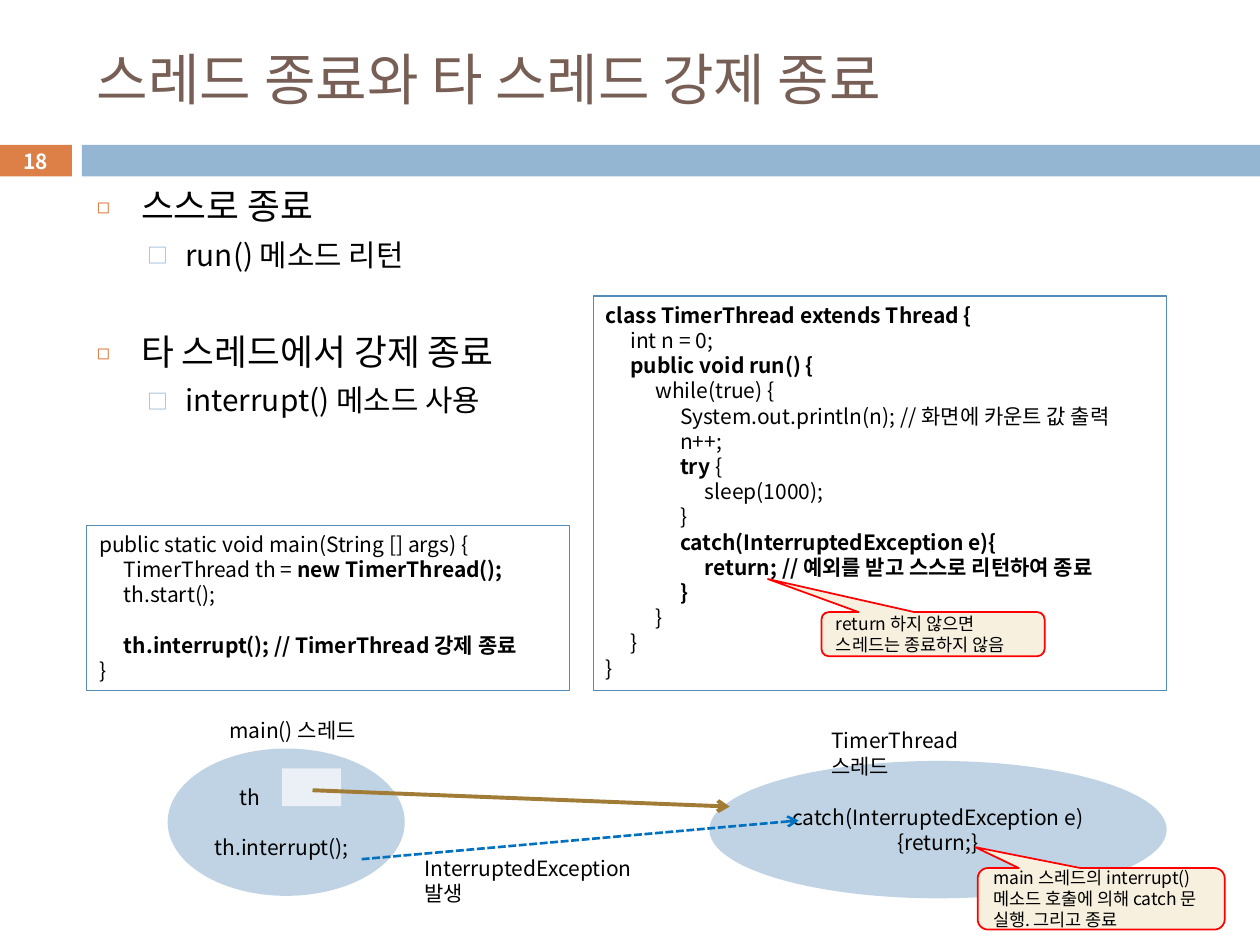
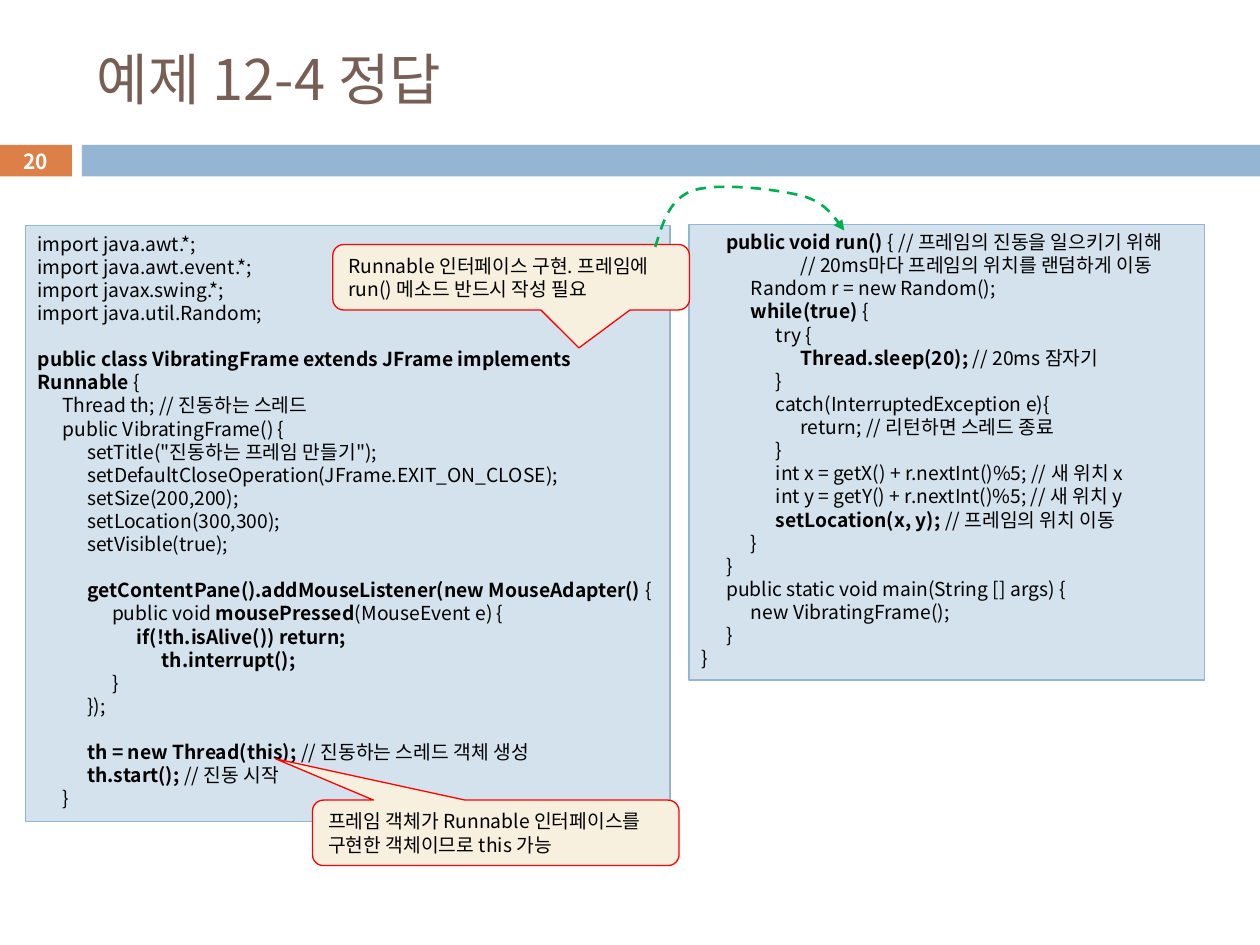
from collections import namedtuple

from lxml.etree import SubElement
from pptx import Presentation
from pptx.dml.color import RGBColor
from pptx.enum.dml import MSO_LINE
from pptx.enum.shapes import MSO_CONNECTOR, MSO_SHAPE
from pptx.enum.text import MSO_ANCHOR, MSO_AUTO_SIZE, PP_ALIGN
from pptx.oxml.ns import qn
from pptx.util import Cm, Pt

FONT = "Noto Sans CJK KR"
BLACK = RGBColor(0x00, 0x00, 0x00)
WHITE = RGBColor(0xFF, 0xFF, 0xFF)
BROWN = RGBColor(0x77, 0x5F, 0x55)
ORANGE = RGBColor(0xDD, 0x80, 0x47)
BLUE = RGBColor(0x94, 0xB6, 0xD2)
EDGE_BLUE = RGBColor(0x55, 0x8B, 0xB8)
THREAD_BLUE = RGBColor(0xBF, 0xD3, 0xE4)
CODE_BLUE = RGBColor(0xD4, 0xE2, 0xED)
PALE_BLUE = RGBColor(0xEA, 0xF0, 0xF6)
SIGNAL_BLUE = RGBColor(0x00, 0x70, 0xC0)
GOLD = RGBColor(0xA1, 0x7C, 0x36)
CREAM = RGBColor(0xF7, 0xF0, 0xDE)
RED = RGBColor(0xFF, 0x00, 0x00)
GREEN = RGBColor(0x00, 0xB0, 0x50)

LINE_FACTOR = 1.2
INDENT = 0.5


class Box(namedtuple("Box", "left top width height")):
    def inner(self, left, top, width, height):
        return Box(self.left + left, self.top + top, width, height)

    def point(self, left, top):
        return Cm(self.left + left), Cm(self.top + top)

    def lengths(self):
        return [Cm(value) for value in self]


TITLE_BOX = Box(1.7, 0.64, 22.66, 1.88)
NUMBER_BOX = Box(0, 2.92, 1.45, 0.64)
BAND_BOX = Box(1.65, 2.92, 23.75, 0.64)
LIST_BOX = Box(1.7, 3.58, 22.66, 4.34)
TIMER_BOX = Box(11.96, 5.97, 11.56, 7.95)
MAIN_BOX = Box(1.75, 10.59, 9.73, 3.33)
DIAGRAM_BOX = Box(3.38, 14.35, 21.3, 4.4)
FRAME_BOX = Box(0.51, 4.55, 13, 12.01)
RUN_BOX = Box(13.89, 4.52, 10.39, 9.19)

TIMER_CODE = """**class TimerThread extends Thread {**
    int n = 0;
    **public void run() {**
        while(true) {
            System.out.println(n); // 화면에 카운트 값 출력
            n++;
            **try **{
                sleep(1000);
            }
            **catch(InterruptedException e){**
                **return; // 예외를 받고 스스로 리턴하여 종료**
            **}**
        }
    }
}"""

MAIN_CODE = """public static void main(String [] args) {
    TimerThread th = **new TimerThread();**
    th.start();

    **th.interrupt(); // TimerThread 강제 종료**
}"""

FRAME_CODE = """import java.awt.*;
import java.awt.event.*;
import javax.swing.*;
import java.util.Random;

**public class VibratingFrame extends JFrame implements Runnable** {
    Thread th; // 진동하는 스레드
    public VibratingFrame() {
        setTitle("진동하는 프레임 만들기");
        setDefaultCloseOperation(JFrame.EXIT_ON_CLOSE);
        setSize(200,200);
        setLocation(300,300);
        setVisible(true);

        **getContentPane().addMouseListener(new MouseAdapter() **{
            public void **mousePressed**(MouseEvent e) {
                **if(!th.isAlive()) return;**
                    **th.interrupt();**
            }
        });

        **th = new Thread(this); **// 진동하는 스레드 객체 생성
        **th.start(); **// 진동 시작
    }"""

RUN_CODE = """    **public void run() **{ // 프레임의 진동을 일으키기 위해
                // 20ms마다 프레임의 위치를 랜덤하게 이동
        Random r = new Random();
        **while(true) **{
            try {
                **Thread.sleep(20); **// 20ms 잠자기
            }
            catch(InterruptedException e){
                return; // 리턴하면 스레드 종료
            }
            int x = getX() + r.nextInt()%5; // 새 위치 x
            int y = getY() + r.nextInt()%5; // 새 위치 y
            **setLocation(x, y); **// 프레임의 위치 이동
        }
    }
    public static void main(String [] args) {
        new VibratingFrame();
    }
}"""

TOPICS = [
    (0, "스스로 종료"),
    (1, "run() 메소드 리턴"),
    (0, "타 스레드에서 강제 종료"),
    (1, "interrupt() 메소드 사용"),
]

Level = namedtuple("Level", "size margin hanging space symbol color percent")
LEVELS = [
    Level(20.4, 0.89, 0.89, 7, "◻", ORANGE, 60),
    Level(17, 1.78, 0.76, 5.5, "□", BLUE, 70),
]
TOPIC_GAP = 33


def add_run(paragraph, text, size, color=BLACK, bold=False):
    run = paragraph.add_run()
    run.text = text
    run.font.name = FONT
    run.font.size = Pt(size)
    run.font.bold = bold
    run.font.color.rgb = color
    SubElement(run._r.get_or_add_rPr(), qn("a:ea"), typeface=FONT)
    paragraph.line_spacing = Pt(size * LINE_FACTOR)


def write_lines(text_frame, text, size, color=BLACK, align=PP_ALIGN.LEFT):
    text_frame.word_wrap = True
    paragraph = text_frame.paragraphs[0]
    gap = 0
    for index, line in enumerate(text.split("\n")):
        if not line:
            gap = size * LINE_FACTOR
            continue
        if index:
            paragraph = text_frame.add_paragraph()
        paragraph.alignment = align
        paragraph.space_before = Pt(gap)
        gap = 0
        words = line.lstrip()
        depth = (len(line) - len(words)) // 4
        if depth:
            paragraph._p.get_or_add_pPr().set("marL", str(Cm(depth * INDENT)))
        for position, part in enumerate(words.split("**")):
            if part:
                add_run(paragraph, part, size, color, position % 2 == 1)


def add_panel(slide, kind, box, fill=None, line=None, line_width=0.75, anchor=MSO_ANCHOR.MIDDLE):
    shape = slide.shapes.add_shape(kind, *box.lengths())
    shape.shadow.inherit = False
    if fill is None:
        shape.fill.background()
    else:
        shape.fill.solid()
        shape.fill.fore_color.rgb = fill
    if line is None:
        shape.line.fill.background()
    else:
        shape.line.color.rgb = line
        shape.line.width = Pt(line_width)
    shape.text_frame.vertical_anchor = anchor
    return shape


def add_code(slide, box, code, size, fill, line):
    panel = add_panel(slide, MSO_SHAPE.RECTANGLE, box, fill, line, anchor=MSO_ANCHOR.TOP)
    write_lines(panel.text_frame, code, size)


def add_callout(slide, box, text, size, pointer, line_width):
    callout = add_panel(slide, MSO_SHAPE.ROUNDED_RECTANGULAR_CALLOUT, box, CREAM, RED, line_width)
    callout.adjustments[0], callout.adjustments[1] = pointer
    write_lines(callout.text_frame, text, size)


def add_label(slide, box, text):
    label = slide.shapes.add_textbox(*box.lengths())
    write_lines(label.text_frame, text, 12)


def style_arrow(shape, color, width, head, dash=None):
    shape.line.color.rgb = color
    shape.line.width = Pt(width)
    if dash is not None:
        shape.line.dash_style = dash
    SubElement(shape.line._get_or_add_ln(), qn("a:tailEnd"), type=head)


def add_arrow(slide, start, end, color, width, dash=None):
    arrow = slide.shapes.add_connector(MSO_CONNECTOR.STRAIGHT, *start, *end)
    style_arrow(arrow, color, width, "arrow", dash)
    SubElement(arrow._element.spPr, qn("a:effectLst"))


def bezier_points(start, first, second, end, steps=12):
    for step in range(1, steps + 1):
        t = step / steps
        weights = ((1 - t) ** 3, 3 * t * (1 - t) ** 2, 3 * t * t * (1 - t), t ** 3)
        corners = (start, first, second, end)
        yield tuple(
            sum(weight * corner[axis] for weight, corner in zip(weights, corners))
            for axis in (0, 1)
        )


def add_curved_arrow(slide, box, controls):
    points = []
    for index in range(0, len(controls) - 1, 3):
        points += [box.point(*point) for point in bezier_points(*controls[index:index + 4])]
    builder = slide.shapes.build_freeform(*box.point(*controls[0]))
    builder.add_line_segments(points, close=False)
    curve = builder.convert_to_shape()
    curve.shadow.inherit = False
    curve.fill.background()
    style_arrow(curve, GREEN, 1.5, "triangle", MSO_LINE.DASH)


def place(placeholder, box, anchor):
    placeholder.left, placeholder.top, placeholder.width, placeholder.height = box.lengths()
    placeholder.text_frame.auto_size = MSO_AUTO_SIZE.NONE
    placeholder.text_frame.vertical_anchor = anchor


def add_framed_slide(presentation, layout_index, title, number):
    slide = presentation.slides.add_slide(presentation.slide_layouts[layout_index])
    place(slide.shapes.title, TITLE_BOX, MSO_ANCHOR.MIDDLE)
    write_lines(slide.shapes.title.text_frame, title, 32, BROWN)
    add_panel(slide, MSO_SHAPE.RECTANGLE, BAND_BOX, BLUE)
    badge = add_panel(slide, MSO_SHAPE.RECTANGLE, NUMBER_BOX, ORANGE)
    write_lines(badge.text_frame, f"**{number}**", 11.9, WHITE, PP_ALIGN.CENTER)
    return slide


def fill_topics(body, box):
    place(body, box, MSO_ANCHOR.TOP)
    text_frame = body.text_frame
    for index, (depth, text) in enumerate(TOPICS):
        paragraph = text_frame.add_paragraph() if index else text_frame.paragraphs[0]
        level = LEVELS[depth]
        paragraph.level = depth
        add_run(paragraph, text, level.size)
        paragraph.space_before = Pt(TOPIC_GAP if index and depth == 0 else level.space)
        properties = paragraph._p.get_or_add_pPr()
        properties.set("marL", str(Cm(level.margin)))
        properties.set("indent", str(-Cm(level.hanging)))
        bullet_color = SubElement(properties, qn("a:buClr"))
        SubElement(bullet_color, qn("a:srgbClr"), val=str(level.color))
        SubElement(properties, qn("a:buSzPct"), val=str(level.percent * 1000))
        SubElement(properties, qn("a:buFont"), typeface=FONT)
        SubElement(properties, qn("a:buChar"), char=level.symbol)


def add_thread_diagram(slide, box):
    add_label(slide, box.inner(4.93, 2.77, 5.1, 1.3), "InterruptedException 발생")
    timer_thread = add_panel(slide, MSO_SHAPE.OVAL, box.inner(10.92, 0.99, 9.22, 2.77), THREAD_BLUE)
    frame = timer_thread.text_frame
    frame.margin_left = frame.margin_right = frame.margin_top = frame.margin_bottom = 0
    write_lines(frame, "catch(InterruptedException e)\n{return;}", 12, align=PP_ALIGN.CENTER)
    main_thread = add_panel(slide, MSO_SHAPE.OVAL, box.inner(0, 0.74, 4.78, 2.97), THREAD_BLUE)
    write_lines(main_thread.text_frame, "    th\n\nth.interrupt();", 12)
    add_label(slide, box.inner(0.99, 0, 3.6, 0.76), "main() 스레드")
    add_label(slide, box.inner(13.13, 0.2, 3.8, 1.3), "TimerThread 스레드")
    add_arrow(slide, box.point(3.91, 2.97), box.point(12.72, 2.19), SIGNAL_BLUE, 1.5, MSO_LINE.SQUARE_DOT)
    add_panel(slide, MSO_SHAPE.RECTANGLE, box.inner(2.31, 1.14, 1.19, 0.76), PALE_BLUE)
    add_arrow(slide, box.point(2.92, 1.58), box.point(11.33, 1.91), GOLD, 2.25)
    add_callout(slide, box.inner(16.33, 3.15, 4.98, 1.24),
                "main 스레드의 interrupt() 메소드 호출에 의해 catch 문 실행. 그리고 종료",
                10, (-0.51, -0.84), 1)


def build_termination_slide(presentation):
    slide = add_framed_slide(presentation, 1, "스레드 종료와 타 스레드 강제 종료", 18)
    fill_topics(slide.placeholders[1], LIST_BOX)
    add_code(slide, TIMER_BOX, TIMER_CODE, 12, None, EDGE_BLUE)
    add_code(slide, MAIN_BOX, MAIN_CODE, 12, None, EDGE_BLUE)
    add_callout(slide, TIMER_BOX.inner(4.6, 6.37, 4.5, 0.89),
                "return 하지 않으면\n스레드는 종료하지 않음", 10, (-0.74, -1.25), 1)
    add_thread_diagram(slide, DIAGRAM_BOX)


def build_answer_slide(presentation):
    slide = add_framed_slide(presentation, 5, "예제 12-4 정답", 20)
    add_code(slide, RUN_BOX, RUN_CODE, 11, CODE_BLUE, BLUE)
    add_code(slide, FRAME_BOX, FRAME_CODE, 11, CODE_BLUE, BLUE)
    add_callout(slide, FRAME_BOX.inner(5.79, 11.58, 7.39, 1.32),
                "프레임 객체가 Runnable 인터페이스를\n구현한 객체이므로 this 가능",
                11, (-0.6, -1.13), 0.75)
    add_callout(slide, FRAME_BOX.inner(6.2, 0.38, 7.19, 1.32),
                "Runnable 인터페이스 구현. 프레임에\nrun() 메소드 반드시 작성 필요",
                11, (0.19, 1.08), 0.75)
    add_curved_arrow(slide, FRAME_BOX, [
        (12.7, 0.43), (12.85, -0.05), (12.98, -0.54), (13.46, -0.71),
        (13.97, -0.87), (15.11, -0.74), (15.62, -0.61),
        (16.13, -0.49), (16.3, -0.18), (16.51, 0.1),
    ])


def main():
    presentation = Presentation()
    presentation.slide_width = Cm(25.4)
    presentation.slide_height = Cm(19.05)
    build_termination_slide(presentation)
    build_answer_slide(presentation)
    presentation.save("out.pptx")


if __name__ == "__main__":
    main()
